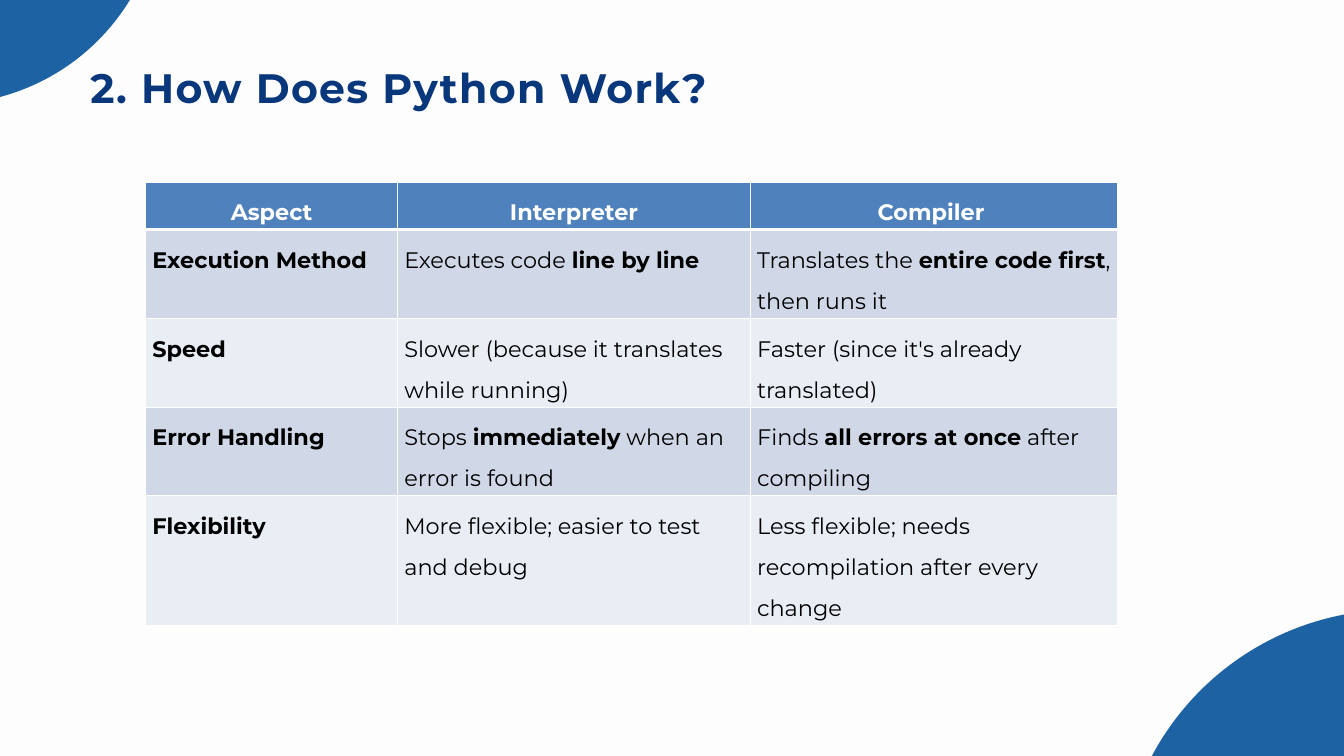
from typing import NamedTuple

from lxml.etree import SubElement
from pptx import Presentation
from pptx.dml.color import RGBColor
from pptx.enum.shapes import MSO_SHAPE
from pptx.enum.text import MSO_ANCHOR, MSO_AUTO_SIZE, PP_ALIGN
from pptx.oxml.ns import qn
from pptx.util import Pt

EMU_PER_PX = 9525
FONT = "Montserrat"
COLORS = {
    "background": "FDFDFD", "circle": "145DA0", "title": "08377C",
    "header": "4F81BD", "odd_row": "D0D8E8", "even_row": "E9EDF4",
    "white": "FFFFFF", "black": "000000",
}


class Circle(NamedTuple):
    left: int
    top: int
    diameter: int


CORNER_CIRCLES = [Circle(1599, 871, 790), Circle(-391, -473, 622)]

COLUMN_WIDTHS = [360, 504, 525]
HEADER_HEIGHT, ROW_HEIGHT = 51, 87
# Text between ** marks is bold
COMPARISON = [
    ("**Aspect**", "**Interpreter**", "**Compiler **"),
    ("**Execution Method**", "Executes code **line by line**",
     "Translates the **entire code first**, then runs it"),
    ("**Speed**", "Slower (because it translates while running)",
     "Faster (since it's already translated)"),
    ("**Error Handling**", "Stops **immediately** when an error is found",
     "Finds **all errors at once** after compiling"),
    ("**Flexibility**", "More flexible; easier to test and debug",
     "Less flexible; needs recompilation after every change"),
]


def px(length: int) -> int:
    return length * EMU_PER_PX


def rgb(name: str) -> RGBColor:
    return RGBColor.from_string(COLORS[name])


def add_run(paragraph, text: str, size: int, color: str, bold: bool):
    run = paragraph.add_run()
    run.text = text
    run.font.name = FONT
    run.font.size = Pt(size)
    run.font.bold = bold
    run.font.color.rgb = rgb(color)
    return run


def draw_circle(slide, circle: Circle) -> None:
    disc = slide.shapes.add_shape(
        MSO_SHAPE.OVAL, px(circle.left), px(circle.top),
        px(circle.diameter), px(circle.diameter))
    disc.shadow.inherit = False
    disc.line.fill.background()
    disc.fill.solid()
    disc.fill.fore_color.rgb = rgb("circle")
    color = disc.fill._xPr.find(qn("a:solidFill"))[0]
    SubElement(color, qn("a:alpha"), val="96000")


def write_title(slide, text: str) -> None:
    title = slide.shapes.title
    title.left, title.top = px(79), px(89)
    title.width, title.height = px(1113), px(65)
    frame = title.text_frame
    frame.margin_left = frame.margin_right = 0
    frame.margin_top = frame.margin_bottom = 0
    frame.auto_size = MSO_AUTO_SIZE.NONE
    frame.vertical_anchor = MSO_ANCHOR.TOP
    heading = frame.paragraphs[0]
    heading.alignment = PP_ALIGN.LEFT
    heading.line_spacing = Pt(52.8)
    heading._p.get_or_add_pPr().set("marL", str(px(50)))
    run = add_run(heading, text, 44, "title", True)
    run.font._element.set("spc", "140")
    # Bring the title in front of the circles
    slide.shapes._spTree.append(title._element)


def set_borders(cell, top: int, bottom: int) -> None:
    properties = cell._tc.get_or_add_tcPr()
    for side, points in (("L", 1), ("R", 1), ("T", top), ("B", bottom)):
        line = SubElement(properties, qn(f"a:ln{side}"), w=str(Pt(points)))
        fill = SubElement(line, qn("a:solidFill"))
        SubElement(fill, qn("a:srgbClr"), val=COLORS["white"])


def fill_cell(cell, text: str, row: int) -> None:
    is_header = row == 0
    set_borders(cell, top=3 if row == 1 else 1, bottom=3 if is_header else 1)
    cell.fill.solid()
    cell.fill.fore_color.rgb = rgb(
        "header" if is_header else "odd_row" if row % 2 else "even_row")
    paragraph = cell.text_frame.paragraphs[0]
    paragraph.alignment = PP_ALIGN.CENTER if is_header else PP_ALIGN.LEFT
    paragraph.line_spacing = 1.5
    for index, part in enumerate(text.split("**")):
        if part:
            add_run(paragraph, part, 24, "white" if is_header else "black",
                    bold=index % 2 == 1)


def draw_comparison(slide) -> None:
    heights = [HEADER_HEIGHT] + [ROW_HEIGHT] * (len(COMPARISON) - 1)
    table = slide.shapes.add_table(
        len(COMPARISON), len(COLUMN_WIDTHS), px(208), px(260),
        px(sum(COLUMN_WIDTHS)), px(sum(heights))).table
    for column, width in zip(table.columns, COLUMN_WIDTHS):
        column.width = px(width)
    for row, (height, texts) in enumerate(zip(heights, COMPARISON)):
        table.rows[row].height = px(height)
        for column, text in enumerate(texts):
            fill_cell(table.cell(row, column), text, row)


def main() -> None:
    deck = Presentation()
    deck.slide_width, deck.slide_height = px(1920), px(1080)
    slide = deck.slides.add_slide(deck.slide_layouts[5])
    slide.background.fill.solid()
    slide.background.fill.fore_color.rgb = rgb("background")

    # Corner decoration
    for circle in CORNER_CIRCLES:
        draw_circle(slide, circle)

    # Content
    write_title(slide, "2. How Does Python Work?")
    draw_comparison(slide)
    deck.save("out.pptx")


if __name__ == "__main__":
    main()
